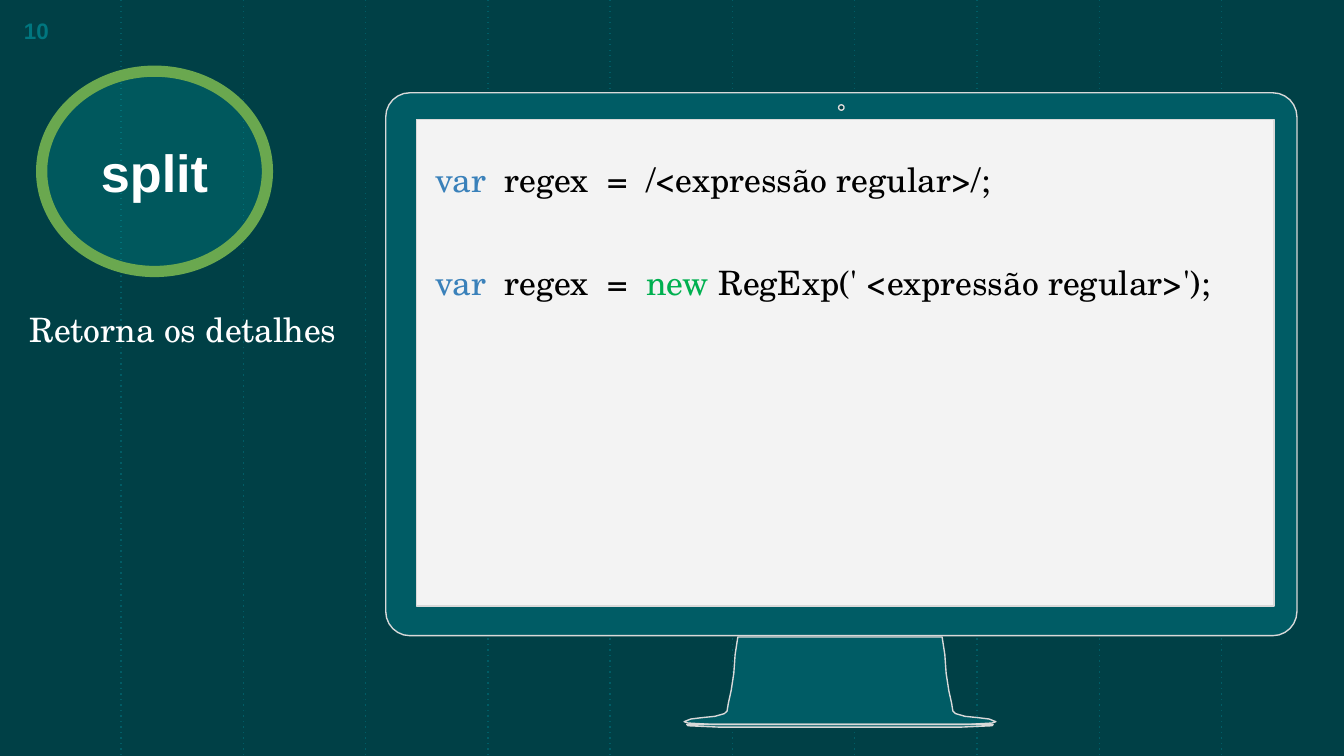
from dataclasses import dataclass
from math import cos, pi, sin

from lxml.etree import SubElement
from pptx import Presentation
from pptx.dml.color import RGBColor
from pptx.enum.shapes import MSO_CONNECTOR, MSO_SHAPE
from pptx.enum.text import MSO_ANCHOR, PP_ALIGN
from pptx.oxml.ns import qn
from pptx.util import Inches, Pt

BACKGROUND = RGBColor(0x00, 0x40, 0x46)
TEAL = RGBColor(0x00, 0x5C, 0x65)
NUMBER_TEAL = RGBColor(0x00, 0x76, 0x7F)
CYAN = RGBColor(0x00, 0xFF, 0xFF)
GREEN = RGBColor(0x6A, 0xA8, 0x4F)
OUTLINE = RGBColor(0xD9, 0xD9, 0xD9)
SCREEN = RGBColor(0xF3, 0xF3, 0xF3)
WHITE = RGBColor(0xFF, 0xFF, 0xFF)
BLACK = RGBColor(0x00, 0x00, 0x00)
KEYWORD_BLUE = RGBColor(0x3A, 0x81, 0xBA)
KEYWORD_GREEN = RGBColor(0x00, 0xB0, 0x50)
SERIF = "TeX Gyre Schola"
SANS = "Arial"

Point = tuple[float, float]


@dataclass
class Span:
    text: str
    color: RGBColor


@dataclass
class Box:
    left: float
    top: float
    width: float
    height: float

    def lengths(self) -> tuple:
        return tuple(map(Inches, (self.left, self.top, self.width, self.height)))


def write(shape, lines: list[list[Span]], *, size: float, font: str = SERIF,
          bold: bool = False, align=PP_ALIGN.LEFT, anchor=MSO_ANCHOR.TOP,
          before: float = 0, gap: float = 0) -> None:
    """Fill a shape with lines of coloured spans."""
    frame = shape.text_frame
    frame.word_wrap = True
    frame.vertical_anchor = anchor
    frame.margin_left = frame.margin_right = Inches(0.1)
    frame.margin_top = frame.margin_bottom = Inches(0.1)
    for index, spans in enumerate(lines):
        paragraph = frame.add_paragraph() if index else frame.paragraphs[0]
        paragraph.alignment = align
        paragraph.space_before = Pt(gap if index else before)
        for span in spans:
            run = paragraph.add_run()
            run.text = span.text
            run.font.name, run.font.size, run.font.bold = font, Pt(size), bold
            run.font.color.rgb = span.color


def paint(shape, fill: RGBColor, line: RGBColor, width: float) -> None:
    shape.shadow.inherit = False
    shape.fill.solid()
    shape.fill.fore_color.rgb = fill
    shape.line.color.rgb = line
    shape.line.width = Pt(width)


def add_grid_line(slide, x: float, bottom: int) -> None:
    line = slide.shapes.add_connector(
        MSO_CONNECTOR.STRAIGHT, Inches(x), 0, Inches(x), bottom)
    line.line.color.rgb = TEAL
    line.line.width = Pt(0.75)
    SubElement(line.line._get_or_add_ln(), qn("a:prstDash"), val="dot")
    SubElement(line._element.spPr, qn("a:effectLst"))


def arc(x: float, y: float, radius: float, start: float, sweep: float,
        steps: int) -> list[Point]:
    angles = [start + sweep * step / steps for step in range(steps + 1)]
    return [(x + radius * cos(a), y + radius * sin(a)) for a in angles]


def rounded(left: float, top: float, right: float, bottom: float,
            radius: float) -> list[Point]:
    corners = [(right - radius, bottom - radius), (left + radius, bottom - radius),
               (left + radius, top + radius), (right - radius, top + radius)]
    return [point for turn, (x, y) in enumerate(corners)
            for point in arc(x, y, radius, turn * pi / 2, pi / 2, 6)]


def mirrored(left_half: list[Point], center: float) -> list[Point]:
    return left_half + [(2 * center - x, y) for x, y in reversed(left_half)]


def add_outline(slide, contours: list[list[Point]]):
    """Draw closed contours, given in inches, as one freeform."""
    scaled = [[(Inches(x), Inches(y)) for x, y in points] for points in contours]
    builder = slide.shapes.build_freeform(*scaled[0][0])
    for index, points in enumerate(scaled):
        if index:
            builder.move_to(*points[0])
        builder.add_line_segments(points[1:], close=True)
    return builder.convert_to_shape()


presentation = Presentation()
presentation.slide_width = Inches(10)
presentation.slide_height = Inches(10) * 9 // 16
slide = presentation.slides.add_slide(presentation.slide_layouts[6])
slide.background.fill.solid()
slide.background.fill.fore_color.rgb = BACKGROUND

# Dotted background grid
for column in range(10):
    add_grid_line(slide, 0.9 + 0.91 * column, presentation.slide_height)

# Slide number and description
number = slide.shapes.add_textbox(*Box(0.08, 0.03, 0.6, 0.4).lengths())
write(number, [[Span("10", NUMBER_TEAL)]], size=12, font=SANS, bold=True)
description = slide.shapes.add_textbox(*Box(0.12, 2.2, 2.68, 2.35).lengths())
write(description, [[Span("Retorna os detalhes", WHITE)]], size=18, before=6)

# Monitor: camera and screen openings, body, stand and foot
stand = [(5.49, 4.74), (5.47, 4.87), (5.46, 5.01), (5.44, 5.14), (5.42, 5.23),
         (5.41, 5.29), (5.39, 5.31), (5.32, 5.33), (5.22, 5.34), (5.14, 5.35),
         (5.09, 5.37), (5.12, 5.38), (5.3, 5.39)]
foot = [(5.82, 5.39), (5.11, 5.39), (5.12, 5.4), (5.35, 5.41), (5.82, 5.41)]
monitor = add_outline(slide, [
    arc(6.26, 0.8, 0.02, 0, 2 * pi, 16),
    [(3.15, 0.94), (9.37, 0.94), (9.37, 4.48), (3.15, 4.48)],
    rounded(2.87, 0.69, 9.65, 4.73, 0.18),
    mirrored(stand, 6.25),
    mirrored(foot, 6.25),
])
paint(monitor, TEAL, OUTLINE, 0.75)
screen = slide.shapes.add_shape(
    MSO_SHAPE.RECTANGLE, *Box(3.1, 0.89, 6.38, 3.62).lengths())
paint(screen, SCREEN, OUTLINE, 0.75)

# Code on the screen
code = slide.shapes.add_textbox(*Box(3.14, 1.08, 6.14, 2.99).lengths())
write(code, [
    [Span("var  ", KEYWORD_BLUE),
     Span("regex  =  /<expressão regular>/;", BLACK)],
    [Span("var  ", KEYWORD_BLUE), Span("regex  =  ", BLACK),
     Span("new ", KEYWORD_GREEN),
     Span("RegExp(' <expressão regular>');", BLACK)],
], size=18, before=6, gap=33.6)

# Method badge with a translucent fill
badge = slide.shapes.add_shape(
    MSO_SHAPE.OVAL, *Box(0.31, 0.53, 1.68, 1.49).lengths())
paint(badge, CYAN, GREEN, 6)
badge_color = badge._element.spPr.find(qn("a:solidFill")).find(qn("a:srgbClr"))
SubElement(badge_color, qn("a:alpha"), val="13000")
write(badge, [[Span("split", WHITE)]], size=28, font=SANS, bold=True,
      align=PP_ALIGN.CENTER, anchor=MSO_ANCHOR.MIDDLE)

presentation.save("out.pptx")
